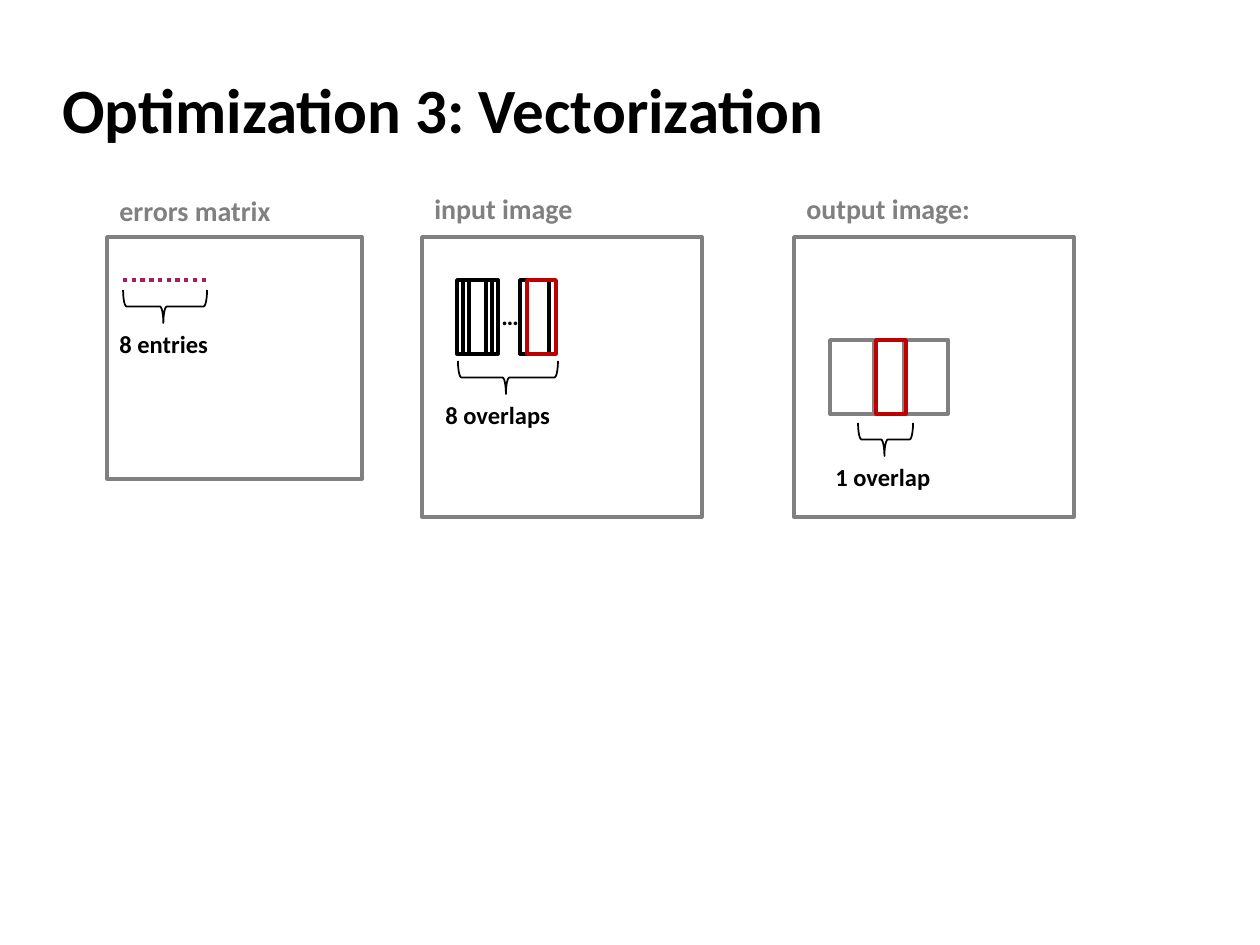
import pptx
import pptx.util
import pptx.dml.color
import pptx.enum.dml
import pptx.enum.shapes
import pptx.enum.text
import lxml.etree

THEME = dict(
    font="Calibri", black="000000", gray="808080", red="C00000", plum="A81D5B",
    title=36, head=16, note=14, edge=2, thin=1, dots=2.5,
)

# Content: all lengths in px
TITLE = ("Optimization 3: Vectorization", (50, 53, 1158, 105))
PANELS = [  # heading, heading top, frame
    ("errors matrix", 187, (107, 237, 255, 242)),
    ("input image", 185, (422, 237, 280, 280)),
    ("output image:", 185, (794, 237, 280, 280)),
]
NOTES = [  # text, left, top, width, wrap
    ("8 entries", 107, 323, 126, True),
    ("…", 489, 295, 43, False),
    ("8 overlaps", 433, 394, 150, True),
    ("1 overlap", 823, 456, 150, True),
]
BRACES = [(123, 290, 84), (458, 361, 100), (858, 423, 55)]  # left, top, width
ENTRIES = (123, 280, 207)  # left, top, right
STRIPS = [(457, "black"), (463, "black"), (469, "black"), (520, "black"), (527, "red")]
TILES = [(874, 74, "gray"), (830, 74, "gray"), (876, 30, "red")]  # left, width, color
STRIP_TOP, STRIP_WIDE, TILE_TOP, TALL = 280, 29, 340, 74
HEAD_WIDE, HEAD_TALL, NOTE_TALL, BRACE_TALL = 208, 47, 43, 33

SCALE = 914400 / 126
SHAPE = pptx.enum.shapes.MSO_SHAPE


def emu(*vals):
    return [round(val * SCALE) for val in vals]


def tint(name):
    return pptx.dml.color.RGBColor.from_string(THEME[name])


def stroke(line, color, width):
    line.color.rgb = tint(color)
    line.width = pptx.util.Pt(THEME[width])


def outline(kind, box, color, width):
    shape = slide.shapes.add_shape(kind, *emu(*box))
    shape.shadow.inherit = False
    shape.fill.background()
    stroke(shape.line, color, width)
    return shape


def label(text, box, size, color="black", wrap=True):
    frame = slide.shapes.add_textbox(*emu(*box)).text_frame
    frame.word_wrap = wrap
    run = frame.paragraphs[0].add_run()
    run.text = text
    run.font.name = THEME["font"]
    run.font.size = pptx.util.Pt(THEME[size])
    run.font.bold = True
    run.font.color.rgb = tint(color)
    return frame


def brace(left, top, wide):
    # A right brace turned so that its tip points down
    shift = (wide - BRACE_TALL) / 2
    box = (left + shift, top - shift, BRACE_TALL, wide)
    shape = outline(SHAPE.RIGHT_BRACE, box, "black", "thin")
    shape.adjustments[0], shape.adjustments[1] = 0.105, 0.48
    shape.rotation = 270
    shape._element.spPr.xfrm.set("flipH", "1")


prs = pptx.Presentation()
prs.slide_width, prs.slide_height = emu(1260, 945)
slide = prs.slides.add_slide(prs.slide_layouts[6])

# Title
frame = label(*TITLE, "title")
frame.vertical_anchor = pptx.enum.text.MSO_ANCHOR.MIDDLE
frame.margin_top = pptx.util.Inches(0.1)
props = frame.paragraphs[0]._p.get_or_add_pPr()
hang = emu(16)[0]
props.set("marL", str(hang))
props.set("indent", str(-hang))

# Panels with headings
for text, top, box in PANELS:
    outline(SHAPE.RECTANGLE, box, "gray", "edge")
    label(text, (box[0], top, HEAD_WIDE, HEAD_TALL), "head", "gray")

# Matrix entries
left, top, right = ENTRIES
row = slide.shapes.add_connector(
    pptx.enum.shapes.MSO_CONNECTOR.STRAIGHT, *emu(left, top, right, top))
stroke(row.line, "plum", "dots")
row.line.dash_style = pptx.enum.dml.MSO_LINE.ROUND_DOT
lxml.etree.SubElement(row._element.spPr, pptx.oxml.ns.qn("a:effectLst"))

# Overlap strips and output tiles
for left, color in STRIPS:
    outline(SHAPE.RECTANGLE, (left, STRIP_TOP, STRIP_WIDE, TALL), color, "edge")
for left, wide, color in TILES:
    outline(SHAPE.RECTANGLE, (left, TILE_TOP, wide, TALL), color, "edge")

# Braces and their notes
for spot in BRACES:
    brace(*spot)
for text, left, top, wide, wrap in NOTES:
    label(text, (left, top, wide, NOTE_TALL), "note", wrap=wrap)

prs.save("out.pptx")
